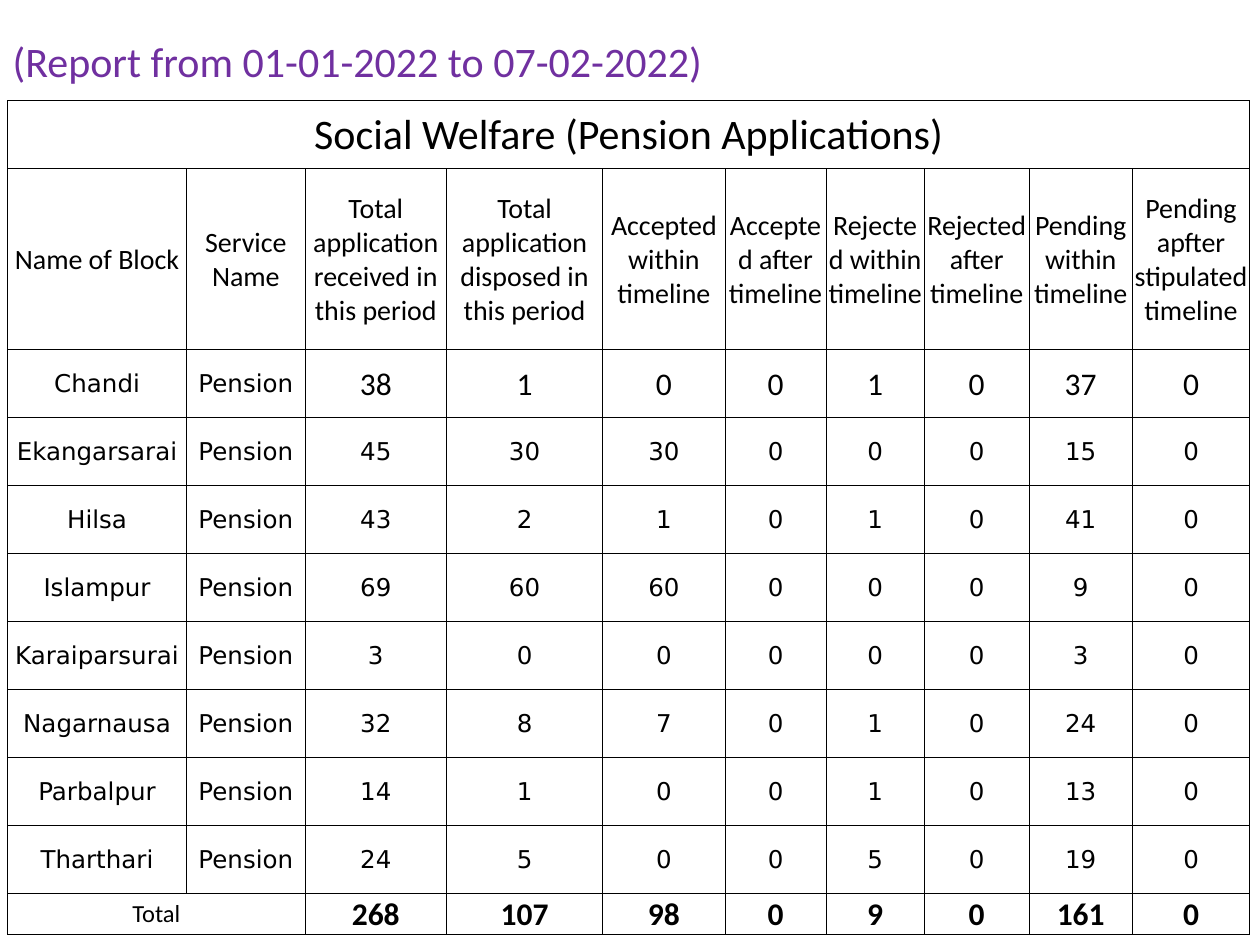
from dataclasses import dataclass

from lxml.etree import SubElement
from pptx import Presentation
from pptx.dml.color import RGBColor
from pptx.enum.text import MSO_ANCHOR, MSO_AUTO_SIZE, PP_ALIGN
from pptx.oxml.ns import qn
from pptx.util import Inches, Pt


@dataclass(frozen=True)
class Theme:
    """Colours, fonts and type sizes of the report."""
    ink: str = "000000"
    accent: str = "7030A0"
    paper: str = "FFFFFF"
    font: str = "Calibri"
    data_font: str = "DejaVu Sans"
    heading: int = 24
    header: int = 16
    figure: int = 18
    data: int = 14
    border: float = 0.5


THEME = Theme()
SLIDE_WIDTH, SLIDE_HEIGHT = Inches(10), Inches(7.5)
TITLE_BOX = (0, 0.23 / 7.5, 0.572, 0.5 / 7.5)
TABLE_BOX = (0.006, 0.8 / 7.5, 0.986, 6.62 / 7.5)
COLUMN_SHARES = [1.42, 0.94, 1.12, 1.24, 0.97, 0.8, 0.78, 0.83, 0.82, 0.93]
ROW_SHARES = [0.54, 1.44] + [0.54] * 8 + [0.33]
HEADERS = [
    "Name of Block", "Service Name",
    "Total application received in this period",
    "Total application disposed in this period",
    "Accepted within timeline", "Accepted after timeline",
    "Rejected within timeline", "Rejected after timeline",
    "Pending within timeline", "Pending apfter stipulated timeline",
]
BLOCKS = {
    "Chandi": [38, 1, 0, 0, 1, 0, 37, 0],
    "Ekangarsarai": [45, 30, 30, 0, 0, 0, 15, 0],
    "Hilsa": [43, 2, 1, 0, 1, 0, 41, 0],
    "Islampur": [69, 60, 60, 0, 0, 0, 9, 0],
    "Karaiparsurai": [3, 0, 0, 0, 0, 0, 3, 0],
    "Nagarnausa": [32, 8, 7, 0, 1, 0, 24, 0],
    "Parbalpur": [14, 1, 0, 0, 1, 0, 13, 0],
    "Tharthari": [24, 5, 0, 0, 5, 0, 19, 0],
}


def to_lengths(box):
    """Turn shares of the slide into left, top, width and height."""
    left, top, width, height = box
    return (round(left * SLIDE_WIDTH), round(top * SLIDE_HEIGHT),
            round(width * SLIDE_WIDTH), round(height * SLIDE_HEIGHT))


def write_text(frame, text, size=THEME.data, font=THEME.font, color=THEME.ink,
               bold=False, align=PP_ALIGN.CENTER):
    """Write one formatted paragraph into a text frame."""
    paragraph = frame.paragraphs[0]
    paragraph.alignment = align
    run = paragraph.add_run()
    run.text = str(text)
    run.font.size = Pt(size)
    run.font.name = font
    run.font.bold = bold
    run.font.color.rgb = RGBColor.from_string(color)


def format_cell(cell):
    """Give a cell its fill, margins, anchor and thin borders."""
    cell.margin_left = cell.margin_right = cell.margin_top = Inches(0.01)
    cell.margin_bottom = 0
    cell.vertical_anchor = MSO_ANCHOR.MIDDLE
    properties = cell._tc.get_or_add_tcPr()
    for side in ("a:lnL", "a:lnR", "a:lnT", "a:lnB"):
        line = SubElement(properties, qn(side), w=str(Pt(THEME.border)))
        fill = SubElement(line, qn("a:solidFill"))
        SubElement(fill, qn("a:srgbClr"), val=THEME.ink)
    cell.fill.solid()
    cell.fill.fore_color.rgb = RGBColor.from_string(THEME.paper)


def add_title(slide, box):
    """Place the reporting period in the title placeholder."""
    title = slide.shapes.title
    title.left, title.top, title.width, title.height = to_lengths(box)
    frame = title.text_frame
    frame.word_wrap = False
    frame.auto_size = MSO_AUTO_SIZE.SHAPE_TO_FIT_TEXT
    frame.vertical_anchor = MSO_ANCHOR.TOP
    write_text(frame, "(Report from 01-01-2022 to 07-02-2022)",
               size=THEME.heading, color=THEME.accent, align=PP_ALIGN.LEFT)


def add_grid(slide, box):
    """Add an empty bordered table that fills the box."""
    left, top, width, height = to_lengths(box)
    table = slide.shapes.add_table(len(ROW_SHARES), len(COLUMN_SHARES),
                                   left, top, width, height).table
    table.first_row = table.horz_banding = False
    for column, share in zip(table.columns, COLUMN_SHARES):
        column.width = round(width * share / sum(COLUMN_SHARES))
    for row, share in zip(table.rows, ROW_SHARES):
        row.height = round(height * share / sum(ROW_SHARES))
    for cell in table.iter_cells():
        format_cell(cell)
    return table


def add_pension_table(slide, box):
    """Fill the table with headers, blocks and computed totals."""
    table = add_grid(slide, box)
    last = len(ROW_SHARES) - 1
    table.cell(0, 0).merge(table.cell(0, len(HEADERS) - 1))
    table.cell(last, 0).merge(table.cell(last, 1))
    write_text(table.cell(0, 0).text_frame,
               "Social Welfare (Pension Applications)", size=THEME.heading)
    for column, header in enumerate(HEADERS):
        write_text(table.cell(1, column).text_frame, header, size=THEME.header)
    for row, (block, figures) in enumerate(BLOCKS.items(), start=2):
        for column, value in enumerate([block, "Pension", *figures]):
            large = row == 2 and column > 1
            write_text(table.cell(row, column).text_frame, value,
                       size=THEME.figure if large else THEME.data,
                       font=THEME.font if large else THEME.data_font)
    write_text(table.cell(last, 0).text_frame, "Total")
    for column, values in enumerate(zip(*BLOCKS.values()), start=2):
        write_text(table.cell(last, column).text_frame, sum(values),
                   size=THEME.figure, bold=True)


def build_report():
    """Build and save the one-slide pension report."""
    presentation = Presentation()
    presentation.slide_width = SLIDE_WIDTH
    presentation.slide_height = SLIDE_HEIGHT
    slide = presentation.slides.add_slide(presentation.slide_layouts[5])
    add_title(slide, TITLE_BOX)
    add_pension_table(slide, TABLE_BOX)
    presentation.save("out.pptx")


build_report()
